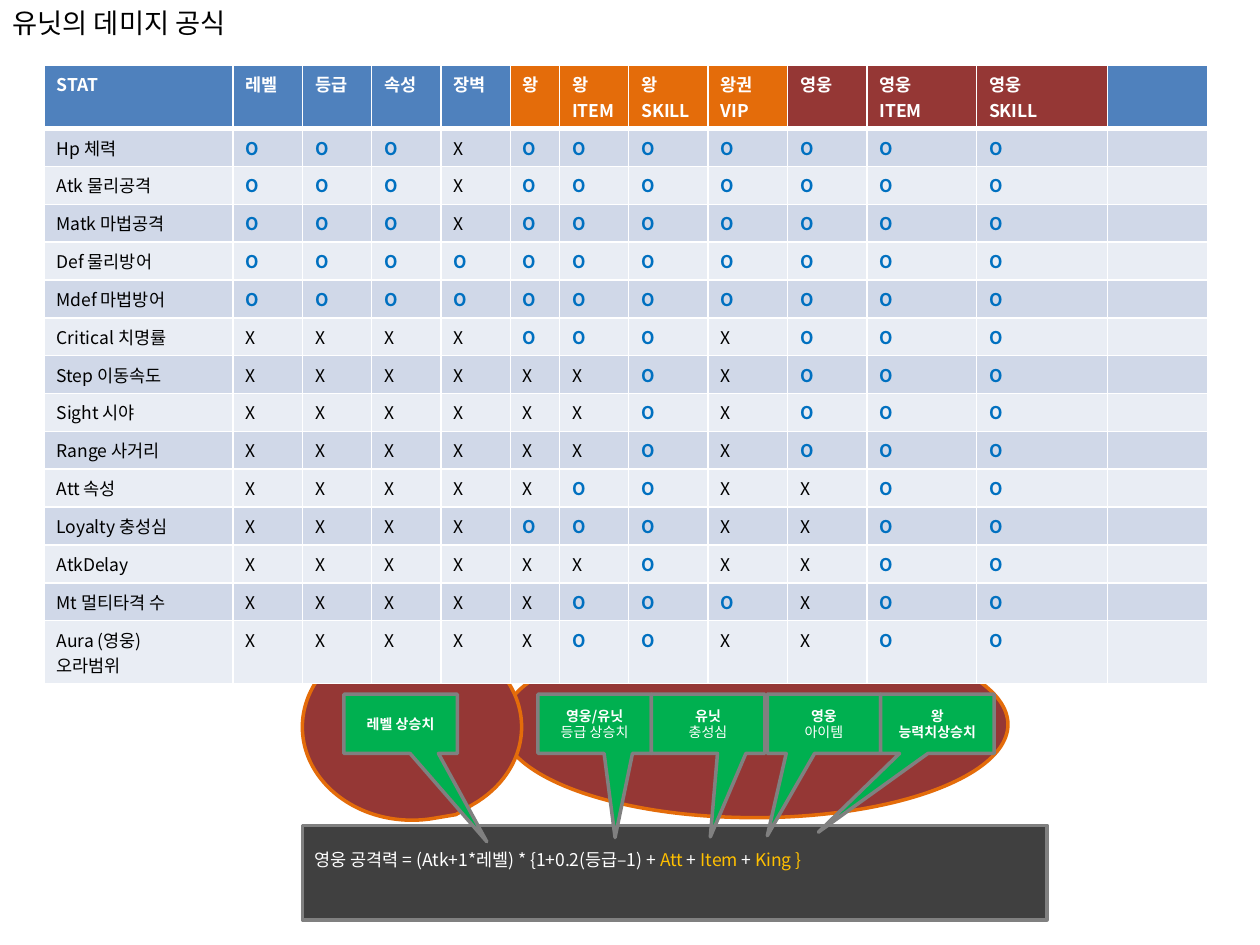
from collections import namedtuple

from lxml import etree
from pptx import Presentation, util as u
from pptx.dml.color import RGBColor
from pptx.enum import shapes, text
from pptx.oxml import ns

FONT = "Noto Sans CJK KR"
WHITE, BLACK, GRAY, CHARCOAL = "FFFFFF", "000000", "808080", "404040"
BLUE, ORANGE, MAROON, GREEN = "4F81BD", "E46C0A", "953735", "00B050"
MARK_BLUE, GOLD = "0070C0", "FFC000"
BANDS = ("D0D8E8", "E9EDF4")

SLIDE_WIDTH, SLIDE_HEIGHT = u.Inches(10), u.Inches(7.5)
GRID_COLUMNS = 1000
UNIT = SLIDE_WIDTH // GRID_COLUMNS  # square grid: 1000 columns by 750 rows

Box = namedtuple("Box", "left top width height")
Run = namedtuple("Run", "words color bold", defaults=(WHITE, False))

STAT_COLUMNS = [150, 55, 55, 55, 55, 39, 55, 63, 63, 63, 87, 104, 80]
STAT_HEADERS = [
    (BLUE, ["STAT"]), (BLUE, ["레벨"]), (BLUE, ["등급"]), (BLUE, ["속성"]), (BLUE, ["장벽"]),
    (ORANGE, ["왕"]), (ORANGE, ["왕 ITEM"]), (ORANGE, ["왕", "SKILL"]), (ORANGE, ["왕권", "VIP"]),
    (MAROON, ["영웅"]), (MAROON, ["영웅", "ITEM"]), (MAROON, ["영웅", "SKILL"]), (BLUE, []),
]
STAT_ROWS = [
    ("Hp 체력", "OOOXOOOOOOO"),
    ("Atk 물리공격", "OOOXOOOOOOO"),
    ("Matk 마법공격", "OOOXOOOOOOO"),
    ("Def 물리방어", "OOOOOOOOOOO"),
    ("Mdef 마법방어", "OOOOOOOOOOO"),
    ("Critical 치명률", "XXXXOOOXOOO"),
    ("Step 이동속도", "XXXXXXOXOOO"),
    ("Sight 시야", "XXXXXXOXOOO"),
    ("Range 사거리", "XXXXXXOXOOO"),
    ("Att 속성", "XXXXXOOXXOO"),
    ("Loyalty 충성심", "XXXXOOOXXOO"),
    ("AtkDelay", "XXXXXXOXXOO"),
    ("Mt 멀티타격 수", "XXXXXOOOXOO"),
    ("Aura (영웅)\v오라범위", "XXXXXOOXXOO"),
]
HEADER_ROW, STAT_ROW = 26, 28

FORMULA = [
    Run("영웅 공격력 = (Atk+1*레벨) * {1+0.2(등급–1) + "),
    Run("Att ", GOLD), Run("+ "), Run("Item ", GOLD), Run("+"), Run(" King }", GOLD),
]
# Callouts: left offset, pointer tip, lines
BONUS_CALLOUTS = [
    (187, (0.18, 1.92), ["영웅/유닛", "등급 상승치"]),
    (277, (0.02, 1.91), ["유닛", "충성심"]),
    (369, (-0.5, 1.89), ["영웅", "아이템"]),
    (459, (-1.05, 1.83), ["왕 능력치상승치"]),
]
LEVEL_CALLOUTS = [(33, (0.76, 1.99), ["레벨 상승치"])]


def color(hex_string):
    return RGBColor.from_string(hex_string)


def grid(box):
    """Turn a box in grid units into slide lengths."""
    return [UNIT * value for value in box]


def inside(box, left, top, width, height):
    return Box(box.left + left, box.top + top, width, height)


def write(frame, paragraphs, size, align=None):
    """Fill a text frame with paragraphs, each a list of runs."""
    for index, runs in enumerate(paragraphs):
        paragraph = frame.add_paragraph() if index else frame.paragraphs[0]
        paragraph.alignment = align
        for item in runs:
            for part, words in enumerate(item.words.split("\v")):
                if part:
                    paragraph.add_line_break()
                run = paragraph.add_run()
                run.text = words
                run.font.size = u.Pt(size)
                run.font.bold = item.bold
                run.font.name = FONT
                run.font.color.rgb = color(item.color)
                properties = run.font._element
                etree.SubElement(properties, ns.qn("a:ea")).set("typeface", FONT)


def add_callout(slide, kind, box, tip, fill, line):
    shape = slide.shapes.add_shape(kind, *grid(box))
    shape.shadow.inherit = False
    shape.fill.solid()
    shape.fill.fore_color.rgb = color(fill)
    shape.line.color.rgb = color(line)
    shape.line.width = u.Pt(2)
    shape.adjustments[0], shape.adjustments[1] = tip
    shape.text_frame.vertical_anchor = text.MSO_ANCHOR.MIDDLE
    return shape


def place_title(slide, box):
    title = slide.shapes.title
    title.left, title.top, title.width, title.height = grid(box)
    title.text_frame.vertical_anchor = text.MSO_ANCHOR.MIDDLE
    write(title.text_frame, [[Run("유닛의 데미지 공식", BLACK)]], 15.6, text.PP_ALIGN.LEFT)


def add_formula(slide, box):
    shape = add_callout(slide, shapes.MSO_SHAPE.RECTANGULAR_CALLOUT, box,
                        (-0.18, 0.5), CHARCOAL, GRAY)
    shape.text_frame.margin_bottom = u.Inches(0.25)
    write(shape.text_frame, [FORMULA], 10, text.PP_ALIGN.LEFT)


def add_factor_group(slide, box, oval, oval_tip, callouts):
    """Draw an oval and the labelled callouts that lie on it."""
    add_callout(slide, shapes.MSO_SHAPE.OVAL_CALLOUT, inside(box, *oval),
                oval_tip, MAROON, ORANGE)
    for left, tip, lines in callouts:
        shape = add_callout(slide, shapes.MSO_SHAPE.RECTANGULAR_CALLOUT,
                            inside(box, left, 50, 90, 47), tip, GREEN, GRAY)
        paragraphs = [[Run(line, WHITE, index == 0)] for index, line in enumerate(lines)]
        write(shape.text_frame, paragraphs, 8, text.PP_ALIGN.CENTER)


def add_damage_diagram(slide, box):
    add_formula(slide, inside(box, 0, 154, box.width, 75))
    add_factor_group(slide, box, (158, 0, 402, 148), (0, -0.5), BONUS_CALLOUTS)
    add_factor_group(slide, box, (0, 2, 174, 148), (0.2, 0.47), LEVEL_CALLOUTS)


def format_cell(cell, fill, paragraphs, borders):
    """Set white borders (side to points), then the fill and the text."""
    properties = cell._tc.get_or_add_tcPr()
    for side, points in borders.items():
        line = etree.SubElement(properties, ns.qn(f"a:ln{side}"), w=str(u.Pt(points)))
        solid = etree.SubElement(line, ns.qn("a:solidFill"))
        etree.SubElement(solid, ns.qn("a:srgbClr"), val=WHITE)
    cell.fill.solid()
    cell.fill.fore_color.rgb = color(fill)
    if paragraphs:
        write(cell.text_frame, paragraphs, 10)
    else:
        end = cell.text_frame.paragraphs[0]._p.get_or_add_endParaRPr()
        end.set("sz", "1000")


def add_stat_table(slide, box):
    frame = slide.shapes.add_table(len(STAT_ROWS) + 1, len(STAT_COLUMNS), *grid(box))
    table = frame.table
    for column, width in zip(table.columns, STAT_COLUMNS):
        column.width = UNIT * width
    for index, row in enumerate(table.rows):
        row.height = UNIT * (STAT_ROW if index else HEADER_ROW)

    for column, (fill, lines) in enumerate(STAT_HEADERS):
        format_cell(table.cell(0, column), fill, [[Run(line, WHITE, True)] for line in lines],
                    {"L": 1, "R": 1, "T": 1, "B": 3})
    for index, (name, marks) in enumerate(STAT_ROWS):
        runs = [Run(name, BLACK)]
        runs += [Run(mark, MARK_BLUE, True) if mark == "O" else Run(mark, BLACK) for mark in marks]
        cells = [[[run]] for run in runs] + [[]]
        for column, paragraphs in enumerate(cells):
            format_cell(table.cell(index + 1, column), BANDS[index % 2], paragraphs,
                        {"L": 1, "R": 1, "B": 1})


def main():
    presentation = Presentation()
    presentation.slide_width, presentation.slide_height = SLIDE_WIDTH, SLIDE_HEIGHT
    title_only = presentation.slide_layouts.get_by_name("Title Only")
    slide = presentation.slides.add_slide(title_only)
    place_title(slide, Box(0, 0, 969, 36))
    add_damage_diagram(slide, Box(240, 501, 591, 229))
    add_stat_table(slide, Box(35, 52, sum(STAT_COLUMNS), 436))
    presentation.save("out.pptx")


if __name__ == "__main__":
    main()
